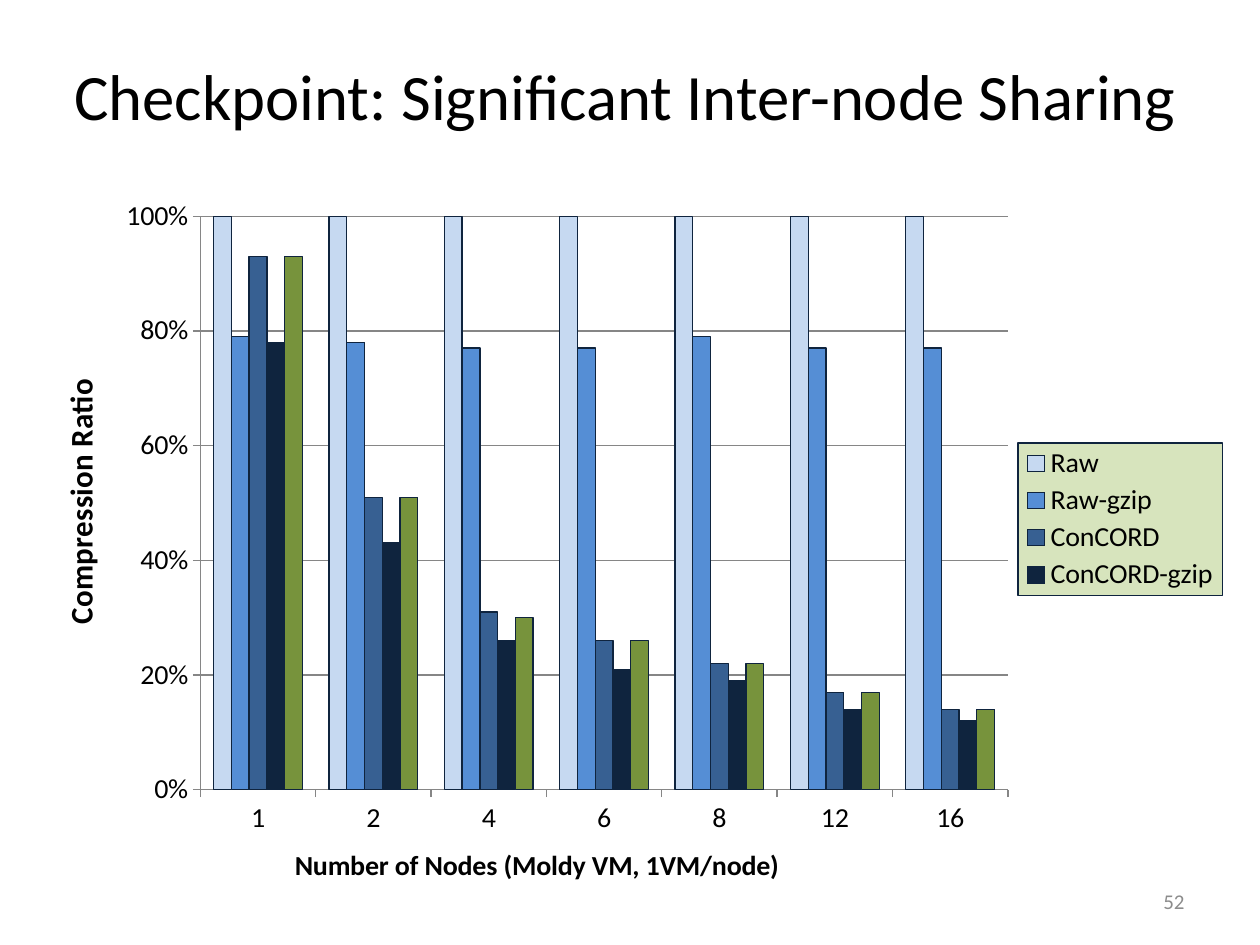
from lxml import etree
from pptx import Presentation
from pptx.chart.data import CategoryChartData
from pptx.dml.color import RGBColor
from pptx.enum.chart import XL_CHART_TYPE, XL_LEGEND_POSITION, XL_TICK_MARK
from pptx.enum.text import MSO_ANCHOR, PP_ALIGN
from pptx.oxml import parse_xml
from pptx.oxml.ns import nsdecls, qn
from pptx.util import Inches, Pt

CLUSTERED = XL_CHART_TYPE.COLUMN_CLUSTERED
LEGEND_RIGHT = XL_LEGEND_POSITION.RIGHT
TICK_OUTSIDE = XL_TICK_MARK.OUTSIDE
MIDDLE = MSO_ANCHOR.MIDDLE
CENTER, RIGHT = PP_ALIGN.CENTER, PP_ALIGN.RIGHT

BLACK = RGBColor(0x00, 0x00, 0x00)
GRAY = RGBColor(0x8C, 0x8C, 0x8C)
AXIS_GRAY = RGBColor(0x86, 0x86, 0x86)
PALE_BLUE = RGBColor(0xC6, 0xD9, 0xF1)
BLUE = RGBColor(0x55, 0x8E, 0xD5)
STEEL = RGBColor(0x37, 0x60, 0x92)
NAVY = RGBColor(0x0F, 0x24, 0x3E)
GREEN = RGBColor(0x77, 0x93, 0x3C)
PALE_GREEN = RGBColor(0xD7, 0xE4, 0xBD)

CHART_WIDTH, CHART_HEIGHT = Inches(9.33), Inches(5.58)
NODES = ["1", "2", "4", "6", "8", "12", "16"]
SERIES = [
    ("Raw", [1] * len(NODES), PALE_BLUE),
    ("Raw-gzip", [0.79, 0.78, 0.77, 0.77, 0.79, 0.77, 0.77], BLUE),
    ("ConCORD", [0.93, 0.51, 0.31, 0.26, 0.22, 0.17, 0.14], STEEL),
    ("ConCORD-gzip", [0.78, 0.43, 0.26, 0.21, 0.19, 0.14, 0.12], NAVY),
    ("", [0.93, 0.51, 0.3, 0.26, 0.22, 0.17, 0.14], GREEN),
]


class SlideBuilder:
    """Holds the style and the current slide, and adds its elements."""

    font_name = "Calibri"

    def __init__(self, slide):
        self.slide = slide

    def style(self, font, size, color=BLACK, bold=False):
        font.name, font.size, font.bold = self.font_name, Pt(size), bold
        font.color.rgb = color

    def text(self, words, left, top, width, height, size, color, alignment):
        shape = self.slide.shapes.add_textbox(
            Inches(left), Inches(top), Inches(width), Inches(height))
        frame = shape.text_frame
        frame.word_wrap = True
        frame.vertical_anchor = MIDDLE
        paragraph = frame.paragraphs[0]
        paragraph.text = words
        paragraph.alignment = alignment
        self.style(paragraph.font, size, color)

    def place(self, element, index, left, top, size=(), target=None):
        for layout in element.findall(qn("c:layout")):
            element.remove(layout)
        settings = {"layoutTarget": target} if target else {}
        settings.update(xMode="edge", yMode="edge",
                        x=Inches(left) / CHART_WIDTH, y=Inches(top) / CHART_HEIGHT)
        if size:
            width, height = size
            settings.update(w=Inches(width) / CHART_WIDTH, h=Inches(height) / CHART_HEIGHT)
        layout = parse_xml(f"<c:layout {nsdecls('c')}><c:manualLayout/></c:layout>")
        for name, value in settings.items():
            etree.SubElement(layout[0], qn(f"c:{name}")).set("val", str(value))
        element.insert(index, layout)

    def axis(self, axis, title, title_size, left, top):
        axis.major_tick_mark = TICK_OUTSIDE
        axis.format.line.color.rgb = AXIS_GRAY
        self.style(axis.tick_labels.font, 16)
        frame = axis.axis_title.text_frame
        frame.text = title
        self.style(frame.paragraphs[0].font, title_size, bold=True)
        self.place(axis.axis_title._element, 1, left, top)

    def legend(self, chart, unnamed_entry):
        chart.has_legend = True
        legend = chart.legend
        legend.position = LEGEND_RIGHT
        legend.include_in_layout = False
        self.style(legend.font, 16)
        element = legend._element
        self.place(element, 1, 7.66, 2.05, size=(1.62, 1.23))
        element.insert(1, parse_xml(
            f'<c:legendEntry {nsdecls("c")}><c:idx val="{unnamed_entry}"/>'
            '<c:delete val="1"/></c:legendEntry>'))
        element.find(qn("c:overlay")).addnext(parse_xml(
            f'<c:spPr {nsdecls("c", "a")}>'
            f'<a:solidFill><a:srgbClr val="{PALE_GREEN}"/></a:solidFill>'
            f'<a:ln w="9525"><a:solidFill><a:srgbClr val="{NAVY}"/></a:solidFill></a:ln>'
            '</c:spPr>'))

    def column_chart(self, left, top):
        data = CategoryChartData()
        data.categories = NODES
        for name, values, _ in SERIES:
            data.add_series(name, values)
        chart = self.slide.shapes.add_chart(
            CLUSTERED, Inches(left), Inches(top), CHART_WIDTH, CHART_HEIGHT, data).chart
        self.style(chart.font, 10)
        chart.has_title = False
        plot = chart.plots[0]
        plot.gap_width, plot.overlap = 150, 0
        plot.vary_by_categories = False
        for series, (_, _, color) in zip(plot.series, SERIES):
            series.format.fill.solid()
            series.format.fill.fore_color.rgb = color
            series.format.line.color.rgb = NAVY
            series.format.line.width = Pt(0.75)
        self.axis(chart.category_axis, "Number of Nodes (Moldy VM, 1VM/node)", 16, 1.88, 5.27)
        value_axis = chart.value_axis
        self.axis(value_axis, "Compression Ratio", 18, 0, 1.52)
        value_axis.minimum_scale, value_axis.maximum_scale = 0, 1
        value_axis.major_unit = 0.2
        value_axis.major_gridlines.format.line.color.rgb = AXIS_GRAY
        value_axis.tick_labels.number_format = "0%"
        value_axis.tick_labels.number_format_is_linked = False
        plot_area = chart._chartSpace.find(f".//{qn('c:plotArea')}")
        self.place(plot_area, 0, 1.17, 0.22, size=(6.41, 4.63), target="inner")
        self.legend(chart, unnamed_entry=len(SERIES) - 1)


def main():
    presentation = Presentation()
    presentation.slide_width, presentation.slide_height = Inches(10), Inches(7.5)
    builder = SlideBuilder(presentation.slides.add_slide(presentation.slide_layouts[6]))
    builder.column_chart(0.42, 1.5)
    builder.text("Checkpoint: Significant Inter-node Sharing",
                 0.25, 0.25, 9.42, 1, 37, BLACK, CENTER)
    builder.text("52", 7.17, 6.95, 2.33, 0.4, 12, GRAY, RIGHT)
    presentation.save("out.pptx")


if __name__ == "__main__":
    main()
